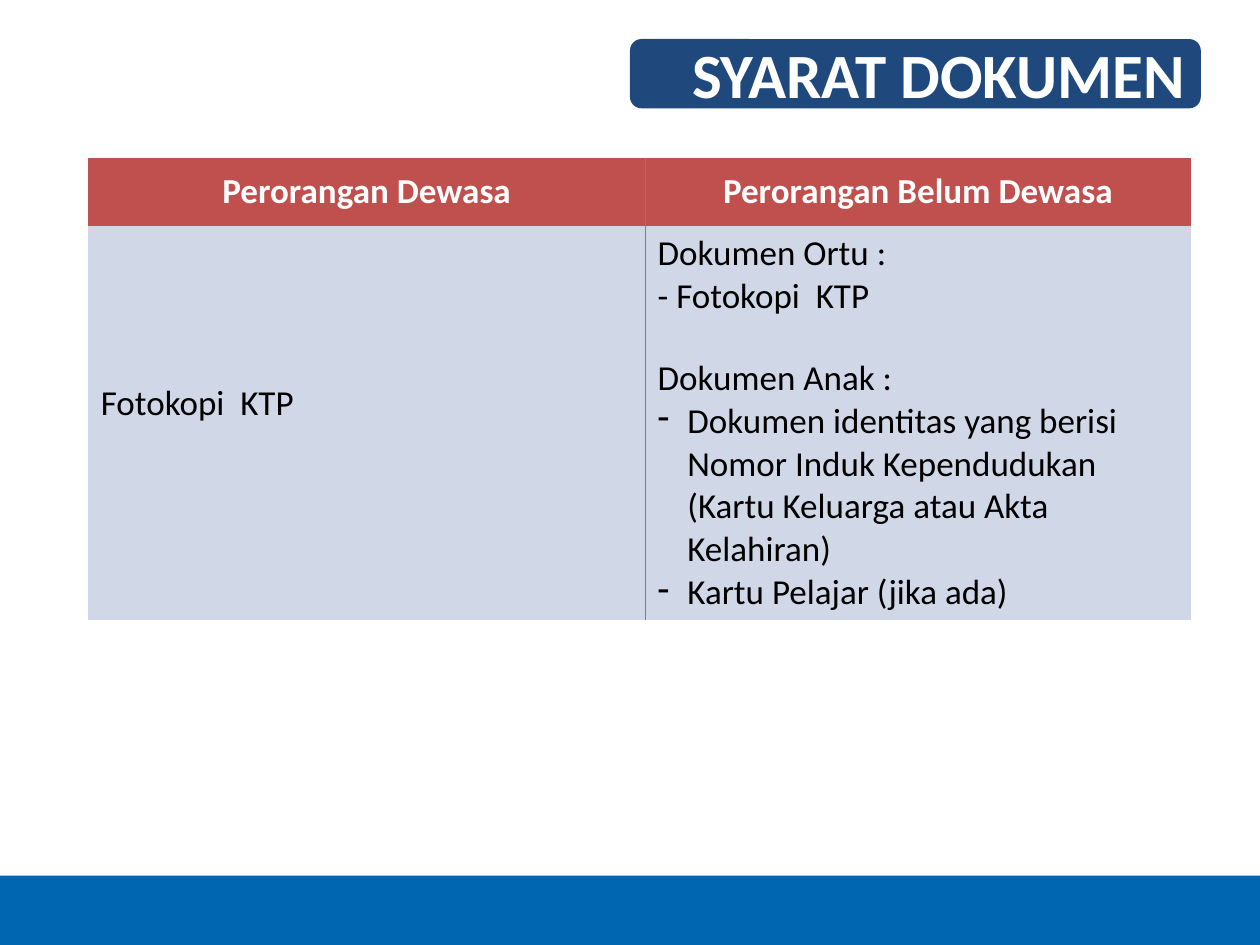
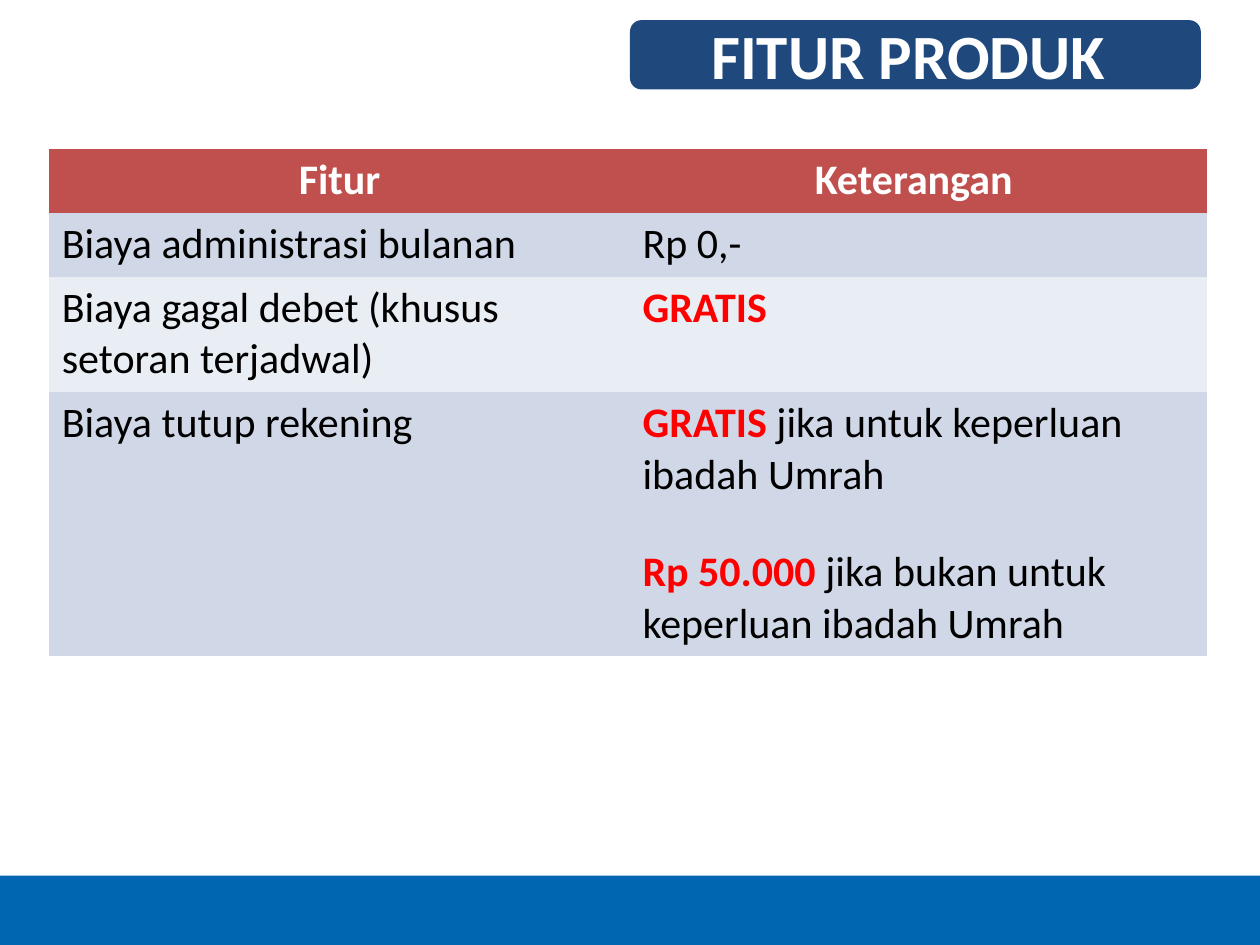
from dataclasses import dataclass

from lxml import etree
from pptx import Presentation
from pptx.dml.color import RGBColor
from pptx.enum.shapes import MSO_SHAPE
from pptx.enum.text import MSO_ANCHOR, PP_ALIGN
from pptx.oxml.ns import qn
from pptx.shapes.autoshape import Shape
from pptx.slide import Slide
from pptx.table import _Cell
from pptx.text.text import TextFrame, _Paragraph
from pptx.util import Pt

RECTANGLE = MSO_SHAPE.RECTANGLE
ROUNDED = MSO_SHAPE.ROUNDED_RECTANGLE
LEFT, CENTER, RIGHT = PP_ALIGN.LEFT, PP_ALIGN.CENTER, PP_ALIGN.RIGHT
TOP, MIDDLE = MSO_ANCHOR.TOP, MSO_ANCHOR.MIDDLE

FONT = "Calibri"
WHITE, BLACK, RED = "FFFFFF", "000000", "FF0000"
BAND_BLUE, TITLE_BLUE = "0066B2", "1F497D"
HEADER_RED, RULE_GRAY = "C0504D", "7F7F7F"
ROW_FILLS = ("D0D8E8", "E9EDF4")
NO_GRID_STYLE = "{2D5ABB26-0587-4C30-8999-92F81FD0307C}"
SLIDE_WIDTH, SLIDE_HEIGHT = 720, 540
BAND_HEIGHT = 39.6
BULLET_INDENT = 17
RULE_WIDTH = 0.45


@dataclass(frozen=True)
class TextRun:
    text: str
    color: str = BLACK
    bold: bool = False


@dataclass(frozen=True)
class Line:
    runs: tuple[TextRun, ...]
    space_before: float = 0
    bullet: bool = False


@dataclass(frozen=True)
class CellText:
    lines: tuple[Line, ...]
    extra_bottom: float = 0


@dataclass(frozen=True)
class Title:
    text: str
    top: float
    alignment: PP_ALIGN


@dataclass(frozen=True)
class TableLayout:
    left: float
    top: float
    column_widths: tuple[float, ...]
    row_heights: tuple[float, ...]
    font_size: float
    anchor: MSO_ANCHOR
    divider: bool = False


@dataclass(frozen=True)
class Page:
    title: Title
    layout: TableLayout
    headers: tuple[str, ...]
    rows: tuple[tuple[CellText, ...], ...]


def plain(text: str, space_before: float = 0, bullet: bool = False) -> Line:
    return Line((TextRun(text),), space_before, bullet)


def highlight(text: str, rest: str = "", space_before: float = 0) -> Line:
    runs = (TextRun(text, RED, True),)
    return Line(runs + ((TextRun(rest),) if rest else ()), space_before)


def single(line: Line) -> CellText:
    return CellText((line,))


PAGES = (
    Page(
        Title("SYARAT DOKUMEN", 22.3, RIGHT),
        TableLayout(50.4, 90, (318.2, 311.8), (38.9, 199.4), 20, MIDDLE, True),
        ("Perorangan Dewasa", "Perorangan Belum Dewasa"),
        (
            (
                CellText((plain("Fotokopi  KTP"),), 22.5),
                CellText((
                    plain("Dokumen Ortu :"),
                    plain("- Fotokopi  KTP"),
                    plain("Dokumen Anak :", 22.5),
                    plain("Dokumen identitas yang berisi Nomor Induk Kependudukan "
                          "(Kartu Keluarga atau Akta Kelahiran)", bullet=True),
                    plain("Kartu Pelajar (jika ada)", bullet=True),
                )),
            ),
        ),
    ),
    Page(
        Title("FITUR PRODUK ", 11.5, CENTER),
        TableLayout(28.1, 85, (331.9, 329.8), (36, 36, 64.8, 151.2), 24, TOP),
        ("Fitur", "Keterangan "),
        (
            (single(plain("Biaya administrasi bulanan")), single(plain("Rp 0,-"))),
            (single(plain("Biaya gagal debet (khusus setoran terjadwal)")),
             single(highlight("GRATIS"))),
            (
                single(plain("Biaya tutup rekening")),
                CellText((
                    highlight("GRATIS", " jika untuk keperluan ibadah Umrah"),
                    highlight("Rp 50.000 ", "jika bukan untuk keperluan ibadah Umrah", 26.6),
                )),
            ),
        ),
    ),
)


def rgb(color: str) -> RGBColor:
    return RGBColor.from_string(color)


def add_block(slide: Slide, kind: MSO_SHAPE, left: float, top: float,
              width: float, height: float, color: str) -> Shape:
    shape = slide.shapes.add_shape(kind, Pt(left), Pt(top), Pt(width), Pt(height))
    shape.shadow.inherit = False
    shape.fill.solid()
    shape.fill.fore_color.rgb = rgb(color)
    shape.line.fill.background()
    return shape


def add_bullet(paragraph: _Paragraph) -> None:
    properties = paragraph._p.get_or_add_pPr()
    properties.set("marL", str(Pt(BULLET_INDENT)))
    properties.set("indent", str(-Pt(BULLET_INDENT)))
    etree.SubElement(properties, qn("a:buChar"), char="-")


def write_lines(text_frame: TextFrame, lines: tuple[Line, ...], size: float,
                alignment: PP_ALIGN) -> None:
    text_frame.word_wrap = True
    for index, line in enumerate(lines):
        paragraph = text_frame.add_paragraph() if index else text_frame.paragraphs[0]
        paragraph.alignment = alignment
        if line.space_before:
            paragraph.space_before = Pt(line.space_before)
        if line.bullet:
            add_bullet(paragraph)
        for text_run in line.runs:
            run = paragraph.add_run()
            run.text = text_run.text
            run.font.name = FONT
            run.font.size = Pt(size)
            run.font.bold = text_run.bold
            run.font.color.rgb = rgb(text_run.color)


def add_title(slide: Slide, title: Title) -> None:
    shape = add_block(slide, ROUNDED, 360, title.top, 326.2, 39.6, TITLE_BLUE)
    shape.text_frame.vertical_anchor = MIDDLE
    line = Line((TextRun(title.text, WHITE, True),))
    write_lines(shape.text_frame, (line,), 36, title.alignment)


def add_rule(cell: _Cell, side: str) -> None:
    border = etree.Element(qn(f"a:{side}"), w=str(Pt(RULE_WIDTH)))
    fill = etree.SubElement(border, qn("a:solidFill"))
    etree.SubElement(fill, qn("a:srgbClr"), val=RULE_GRAY)
    cell._tc.get_or_add_tcPr().insert(0, border)


def fill_cell(cell: _Cell, content: CellText, color: str, layout: TableLayout,
              alignment: PP_ALIGN) -> None:
    cell.fill.solid()
    cell.fill.fore_color.rgb = rgb(color)
    cell.vertical_anchor = layout.anchor
    cell.margin_bottom = Pt(3.6 + content.extra_bottom)
    write_lines(cell.text_frame, content.lines, layout.font_size, alignment)


def add_page_table(slide: Slide, page: Page) -> None:
    layout = page.layout
    frame = slide.shapes.add_table(
        len(layout.row_heights), len(layout.column_widths), Pt(layout.left), Pt(layout.top),
        Pt(sum(layout.column_widths)), Pt(sum(layout.row_heights)))
    table = frame.table
    table.first_row = table.horz_banding = False
    for style in frame.element.iter(qn("a:tableStyleId")):
        style.text = NO_GRID_STYLE
    for column, width in zip(table.columns, layout.column_widths):
        column.width = Pt(width)
    for row, height in zip(table.rows, layout.row_heights):
        row.height = Pt(height)
    for column_index, header in enumerate(page.headers):
        content = single(Line((TextRun(header, WHITE, True),)))
        fill_cell(table.cell(0, column_index), content, HEADER_RED, layout, CENTER)
    for row_index, contents in enumerate(page.rows):
        color = ROW_FILLS[row_index % len(ROW_FILLS)]
        for column_index, content in enumerate(contents):
            fill_cell(table.cell(row_index + 1, column_index), content, color, layout, LEFT)
    if layout.divider:
        for row_index in range(len(layout.row_heights)):
            add_rule(table.cell(row_index, 0), "lnR")
            add_rule(table.cell(row_index, 1), "lnL")


def main() -> None:
    presentation = Presentation()
    presentation.slide_width = Pt(SLIDE_WIDTH)
    presentation.slide_height = Pt(SLIDE_HEIGHT)
    for page in PAGES:
        slide = presentation.slides.add_slide(presentation.slide_layouts[6])
        add_block(slide, RECTANGLE, 0, SLIDE_HEIGHT - BAND_HEIGHT, SLIDE_WIDTH,
                  BAND_HEIGHT, BAND_BLUE)
        add_title(slide, page.title)
        add_page_table(slide, page)
    presentation.save("out.pptx")


if __name__ == "__main__":
    main()
